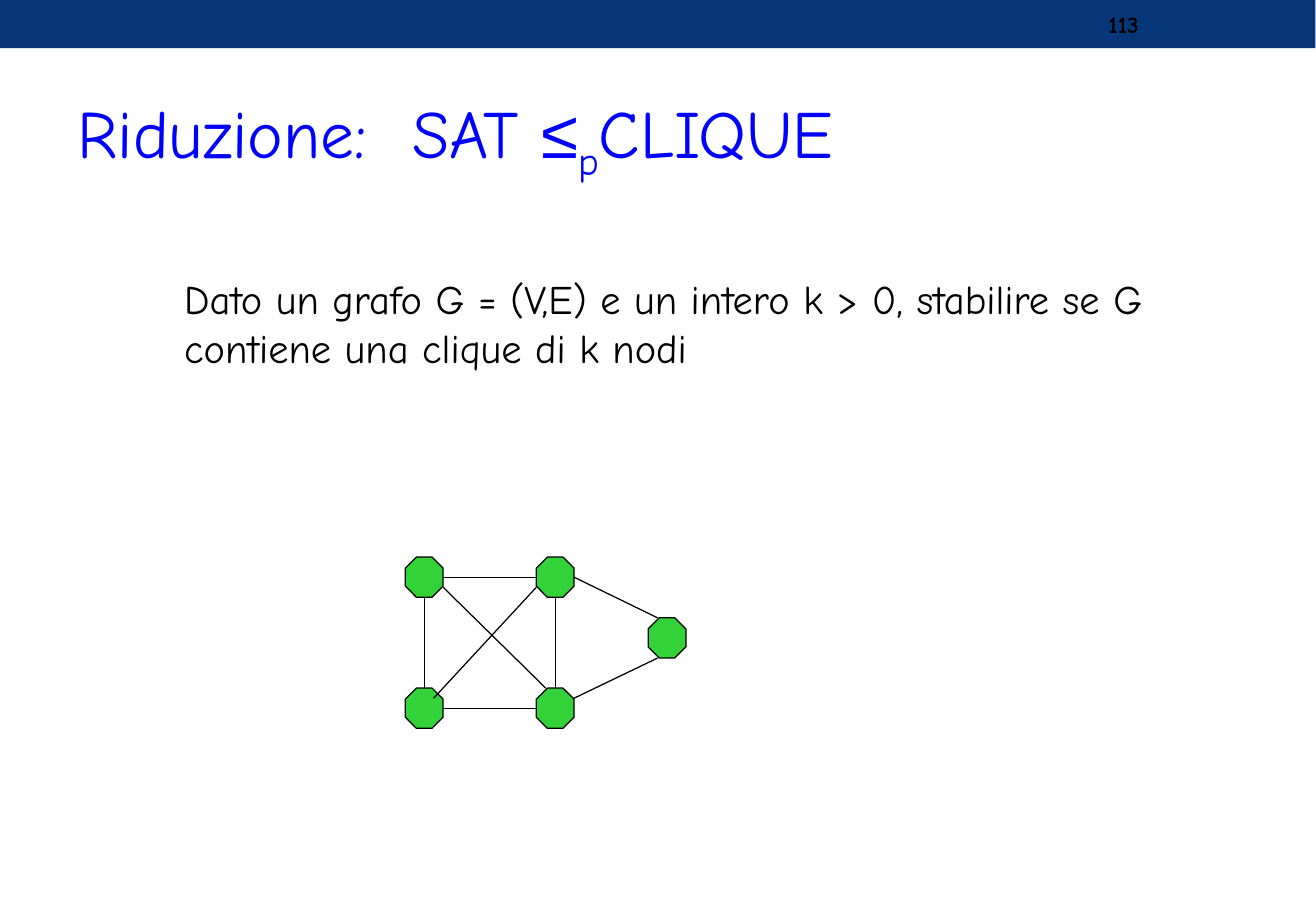
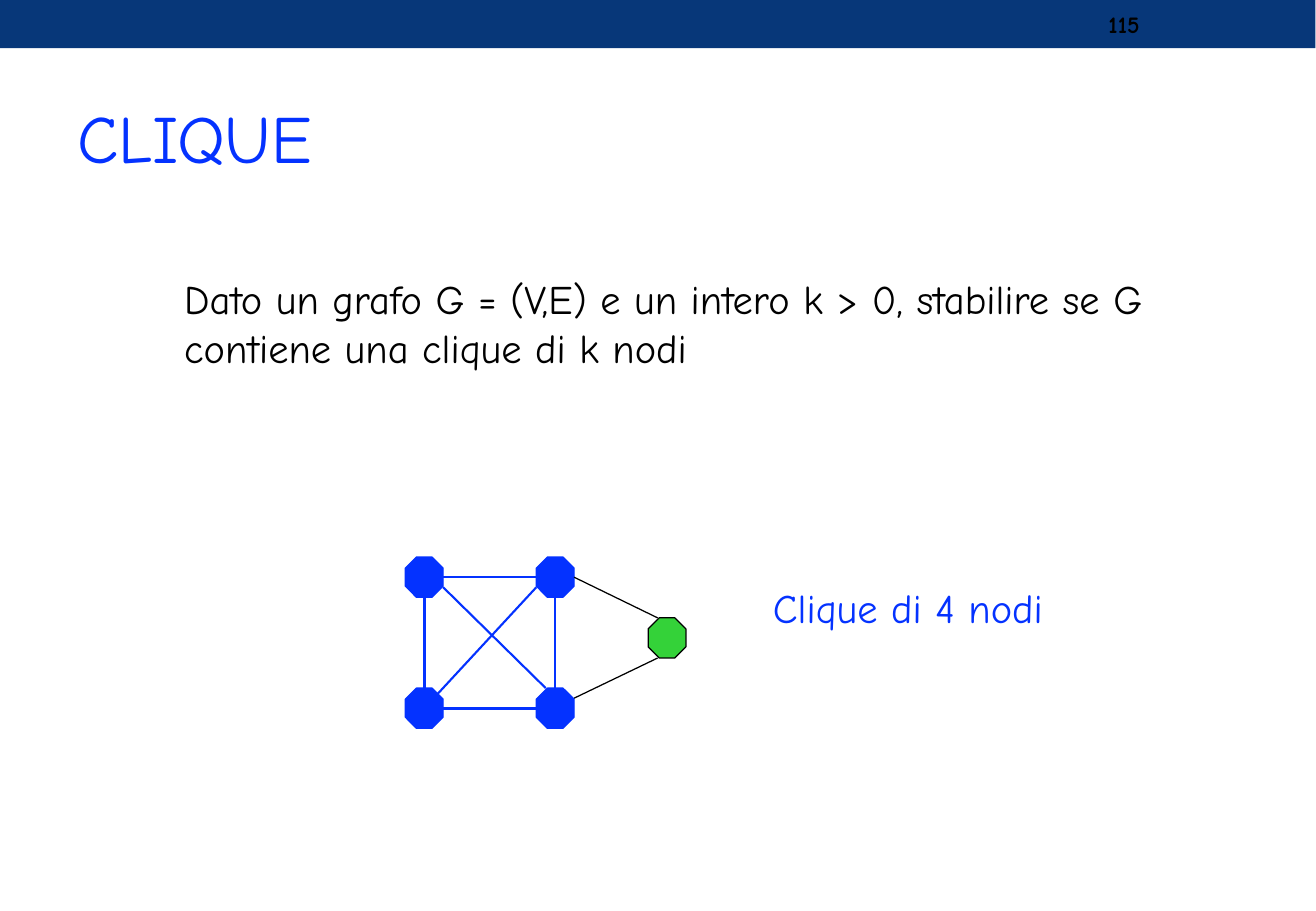
from dataclasses import dataclass

from lxml.etree import SubElement
from pptx import Presentation
from pptx.dml.color import RGBColor
from pptx.enum.shapes import MSO_CONNECTOR, MSO_SHAPE
from pptx.enum.text import MSO_ANCHOR, MSO_AUTO_SIZE, PP_ALIGN
from pptx.oxml.ns import qn
from pptx.util import Cm, Pt


@dataclass(frozen=True)
class Theme:
    font: str = "Comic Neue"
    symbol_font: str = "Arial"
    band: str = "073779"
    title: str = "0000FF"
    accent: str = "0432FF"
    ink: str = "000000"
    node: str = "34D239"
    title_size: float = 40
    body_size: float = 24
    number_size: float = 14
    thin: float = 0.75
    diagonal: float = 1.25
    thick: float = 1.5


THEME = Theme()
WIDTH, HEIGHT = 27.53, 19.05
BAND_WIDTH, BAND_HEIGHT = 27.52, 1.01

STATEMENT = ("Dato un grafo G = (V,E) e un intero k > 0, "
             "stabilire se G contiene una clique di k nodi")

# Graph geometry in centimetres; the fifth node stands right of the square.
NODE_WIDTH, NODE_HEIGHT = 0.79, 0.84
LEFT, TOP, STEP = 8.48, 11.65, 2.74
NODES = {
    "top left": (LEFT, TOP),
    "top right": (LEFT + STEP, TOP),
    "bottom left": (LEFT, TOP + STEP),
    "bottom right": (LEFT + STEP, TOP + STEP),
    "outer": (13.56, 12.92),
}
# Each end is a node and a point on it, as fractions of its width and height.
SIDES = [
    (("top left", 0.5, 1), ("bottom left", 0.5, 0)),
    (("top right", 0.5, 1), ("bottom right", 0.5, 0)),
    (("top left", 1, 0.5), ("top right", 0, 0.5)),
    (("bottom left", 1, 0.5), ("bottom right", 0, 0.5)),
]
DIAGONALS = [
    (("top left", 1, 0.75), ("bottom right", 0.25, 0)),
    (("bottom left", 0.75, 0.25), ("top right", 0, 0.75)),
]
OUTER_EDGES = [
    (("bottom right", 1, 0.25), ("outer", 0.25, 1)),
    (("top right", 1, 0.5), ("outer", 0.25, 0)),
]


def add_span(para, text, size, color=THEME.ink, font=THEME.font, bold=False, baseline=0):
    span = para.add_run()
    span.text = text
    span.font.name = font
    span.font.size = Pt(size)
    span.font.bold = bold
    span.font.color.rgb = RGBColor.from_string(color)
    if baseline:
        span._r.get_or_add_rPr().set("baseline", str(baseline * 1000))


def set_frame(shape, anchor):
    """Prepare the shape's text and return its first paragraph."""
    frame = shape.text_frame
    frame.word_wrap = True
    frame.auto_size = MSO_AUTO_SIZE.NONE
    frame.vertical_anchor = anchor
    para = frame.paragraphs[0]
    para.alignment = PP_ALIGN.LEFT
    para.space_before = Pt(0)
    return para


def place(shape, left, top, width, height):
    shape.left, shape.top = Cm(left), Cm(top)
    shape.width, shape.height = Cm(width), Cm(height)


def point_on(node, across, down):
    left, top = NODES[node]
    return Cm(left + across * NODE_WIDTH), Cm(top + down * NODE_HEIGHT)


class SlideBuilder:
    def __init__(self, deck):
        self.deck = deck
        self.slide = None

    def new_slide(self, number):
        self.slide = self.deck.slides.add_slide(self.deck.slide_layouts[1])
        if len(self.deck.slides) == 1:
            self.add_band_to_master()
        self.label(number, 22.94, 0.05, 3.2, 0.91, anchor=MSO_ANCHOR.MIDDLE,
                   size=THEME.number_size, bold=True)

    def add_band_to_master(self):
        band = self.slide.shapes.add_shape(
            MSO_SHAPE.RECTANGLE, 0, 0, Cm(BAND_WIDTH), Cm(BAND_HEIGHT))
        band.shadow.inherit = False
        band.fill.solid()
        band.fill.fore_color.rgb = RGBColor.from_string(THEME.band)
        band.line.fill.background()
        band.element.nvSpPr.cNvPr.id = 100
        self.deck.slide_master.shapes.element.insert(2, band.element)

    def title(self, spans, tab_stop=None):
        """Write (text, format) spans; tab_stop is in centimetres."""
        title = self.slide.shapes.title
        place(title, 1.37, 1.49, 24.77, 2.74)
        para = set_frame(title, MSO_ANCHOR.MIDDLE)
        if tab_stop:
            tabs = SubElement(para._p.get_or_add_pPr(), qn("a:tabLst"))
            SubElement(tabs, qn("a:tab"), pos=str(Cm(tab_stop)), algn="l")
        for text, style in spans:
            add_span(para, text, THEME.title_size, **style)

    def body(self, text):
        body = self.slide.placeholders[1]
        place(body, 3.6, 5.61, 22.33, 3.2)
        para = set_frame(body, MSO_ANCHOR.TOP)
        properties = para._p.get_or_add_pPr()
        properties.set("marL", "0")
        properties.set("indent", "0")
        SubElement(properties, qn("a:buNone"))
        add_span(para, text, THEME.body_size)

    def label(self, text, left, top, width, height, anchor=MSO_ANCHOR.TOP, **style):
        box = self.slide.shapes.add_textbox(Cm(left), Cm(top), Cm(width), Cm(height))
        add_span(set_frame(box, anchor), text, **style)

    def node(self, name, fill, line):
        left, top = NODES[name]
        node = self.slide.shapes.add_shape(MSO_SHAPE.OCTAGON, Cm(left), Cm(top),
                                           Cm(NODE_WIDTH), Cm(NODE_HEIGHT))
        node.adjustments[0] = 0.293
        node.shadow.inherit = False
        node.fill.solid()
        node.fill.fore_color.rgb = RGBColor.from_string(fill)
        node.line.color.rgb = RGBColor.from_string(line)
        node.line.width = Pt(THEME.thin)

    def edge(self, start, end, color, width):
        edge = self.slide.shapes.add_connector(
            MSO_CONNECTOR.STRAIGHT, *point_on(*start), *point_on(*end))
        edge.line.color.rgb = RGBColor.from_string(color)
        edge.line.width = Pt(width)
        SubElement(edge.element.spPr, qn("a:effectLst"))

    def graph(self, show_clique=False):
        for name in NODES:
            if show_clique and name != "outer":
                self.node(name, THEME.accent, THEME.accent)
            else:
                self.node(name, THEME.node, THEME.ink)
        clique_color = THEME.accent if show_clique else THEME.ink
        side_width = THEME.thick if show_clique else THEME.thin
        diagonal_width = THEME.diagonal if show_clique else THEME.thin
        for edges, color, width in (
            (SIDES, clique_color, side_width),
            (DIAGONALS, clique_color, diagonal_width),
            (OUTER_EDGES, THEME.ink, THEME.thin),
        ):
            for start, end in edges:
                self.edge(start, end, color, width)


def main():
    deck = Presentation()
    deck.slide_width, deck.slide_height = Cm(WIDTH), Cm(HEIGHT)
    builder = SlideBuilder(deck)

    builder.new_slide("113")
    builder.title([
        ("Riduzione:\tSAT ", {"color": THEME.title}),
        ("≤", {"color": THEME.title, "font": THEME.symbol_font}),
        ("p", {"color": THEME.title, "baseline": -25}),
        ("CLIQUE", {"color": THEME.title}),
    ], tab_stop=7)
    builder.body(STATEMENT)
    builder.graph()

    builder.new_slide("115")
    builder.title([("CLIQUE", {"color": THEME.accent})])
    builder.body(STATEMENT)
    builder.label("Clique di 4 nodi", 15.92, 12.07, 7.01, 1.27,
                  size=THEME.body_size, color=THEME.accent)
    builder.graph(show_clique=True)

    deck.save("out.pptx")


if __name__ == "__main__":
    main()
